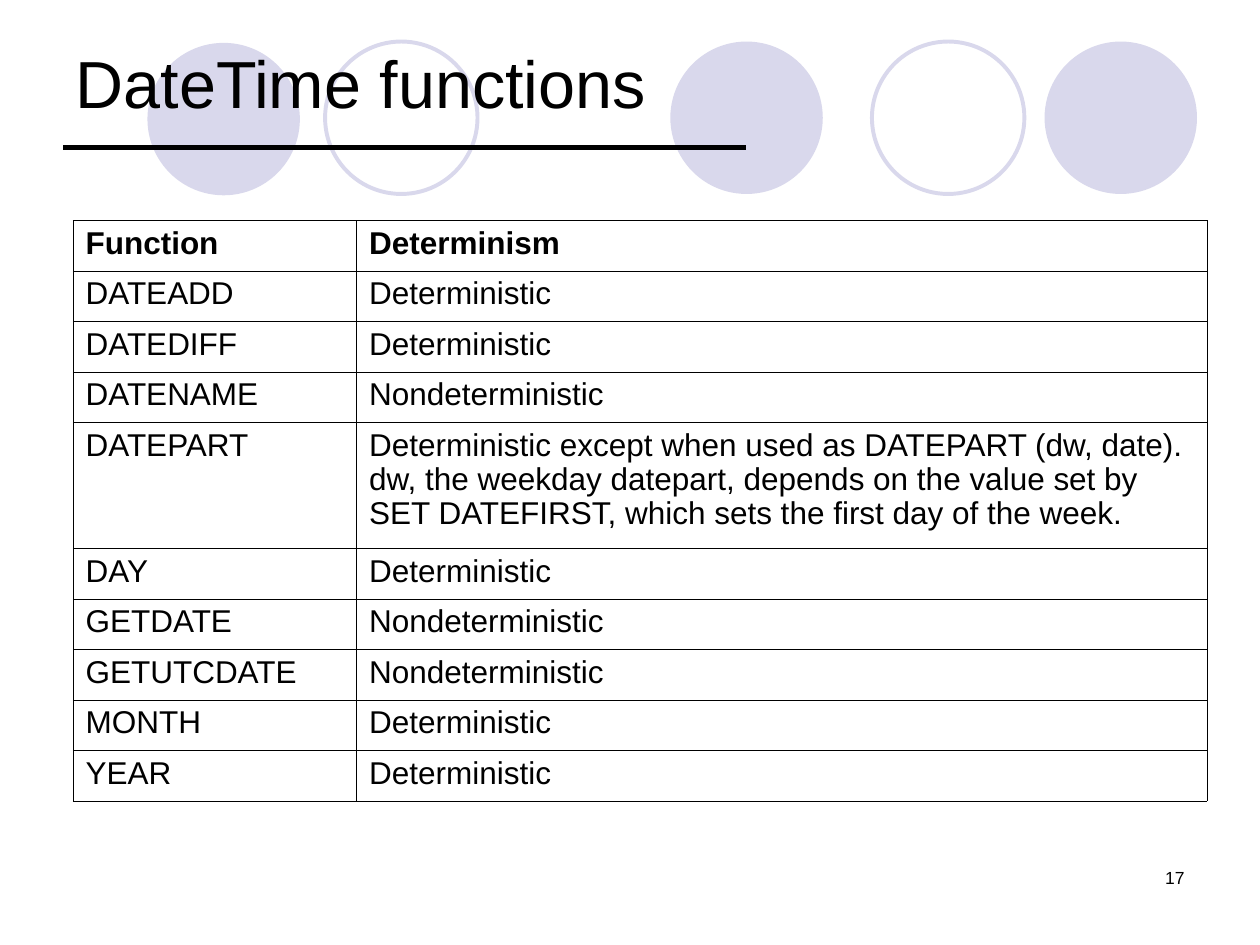
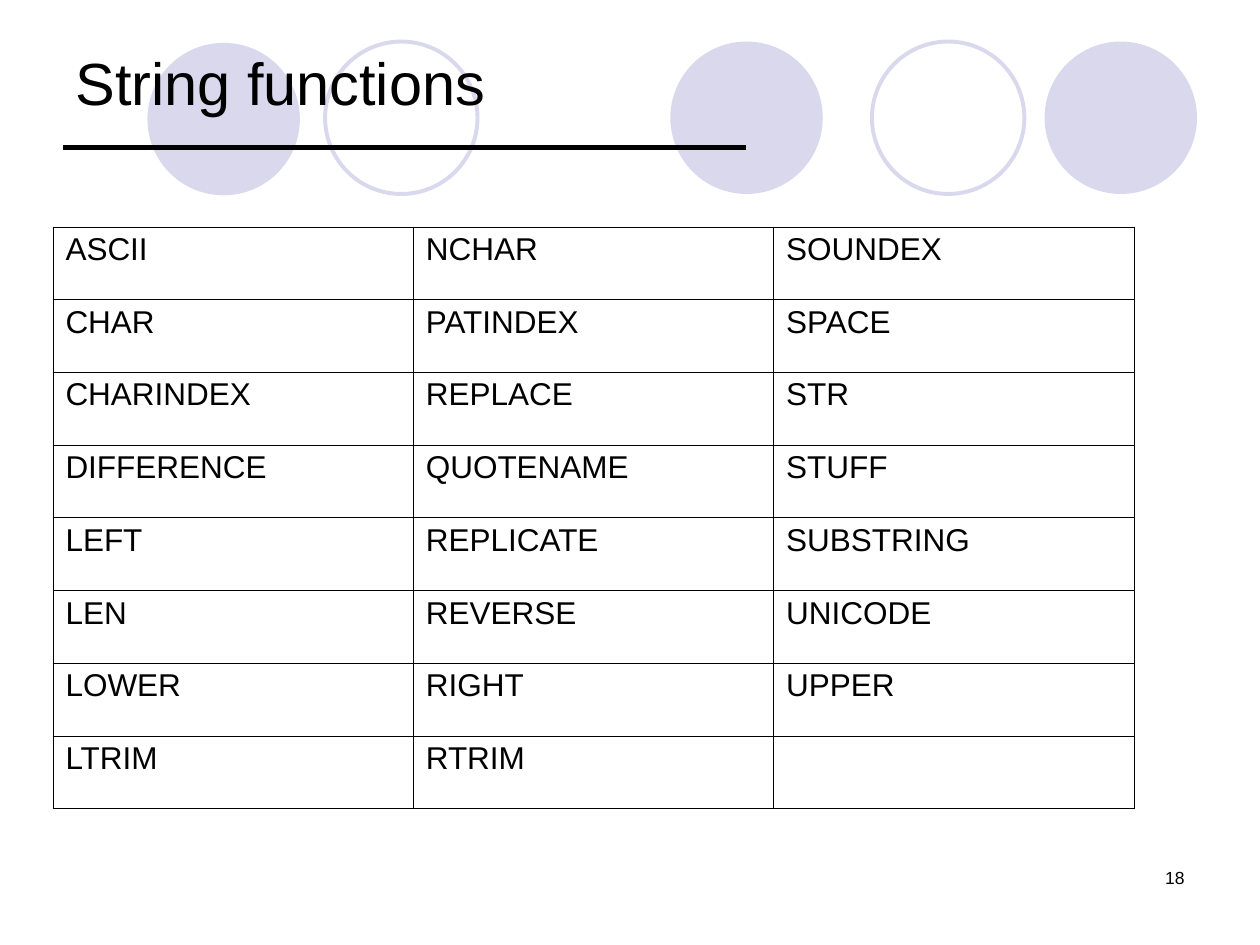
from dataclasses import dataclass

from lxml import etree
from pptx import Presentation
from pptx import util as u
from pptx.dml.color import RGBColor
from pptx.enum import shapes, text
from pptx.oxml import ns

EMU_PER_PX = 9144  # 100 px to the inch
COLOURS = {"ink": "000000", "paper": "FFFFFF", "lilac": "D9D8EC"}
FONT_NAME = "Arial"

CIRCLE_SIZE = 121
RING_WIDTH, RULE_WIDTH, BORDER_WIDTH = u.Pt(2.25), u.Pt(3), u.Pt(0.34)
TITLE_BOX = (50, 30, 900, 70)
NUMBER_BOX = (717, 683, 233, 50)
RULE_LEFT, RULE_RIGHT, RULE_TOP = 50, 592, 117


@dataclass(frozen=True)
class Circle:
    left: int
    top: int
    filled: bool


@dataclass(frozen=True)
class TableSlide:
    title: str
    title_size: int
    number: int
    box: tuple[int, int, int, int]
    column_weights: list[int]
    row_weights: list[int]
    rows: list[tuple[str, ...]]
    bold_header: bool = False


CIRCLES = [
    Circle(532, 33, True),
    Circle(829, 33, True),
    Circle(117, 34, True),
    Circle(692, 33, False),
    Circle(258, 33, False),
]

SLIDES = [
    TableSlide(
        "DateTime functions", 38, 17, (58, 175, 900, 461),
        column_weights=[1, 3],
        row_weights=[2] * 4 + [5] + [2] * 5,
        rows=[
            ("Function", "Determinism"),
            ("DATEADD", "Deterministic"),
            ("DATEDIFF", "Deterministic"),
            ("DATENAME", "Nondeterministic"),
            ("DATEPART", "Deterministic except when used as DATEPART (dw, date). "
                         "dw, the weekday datepart, depends on the value set by "
                         "SET DATEFIRST, which sets the first day of the week."),
            ("DAY", "Deterministic"),
            ("GETDATE", "Nondeterministic"),
            ("GETUTCDATE", "Nondeterministic"),
            ("MONTH", "Deterministic"),
            ("YEAR", "Deterministic"),
        ],
        bold_header=True,
    ),
    TableSlide(
        "String functions", 34, 18, (42, 180, 858, 462),
        column_weights=[1] * 3,
        row_weights=[1] * 8,
        rows=[
            ("ASCII", "NCHAR", "SOUNDEX"),
            ("CHAR", "PATINDEX", "SPACE"),
            ("CHARINDEX", "REPLACE", "STR"),
            ("DIFFERENCE", "QUOTENAME", "STUFF"),
            ("LEFT", "REPLICATE", "SUBSTRING"),
            ("LEN", "REVERSE", "UNICODE"),
            ("LOWER", "RIGHT", "UPPER"),
            ("LTRIM", "RTRIM", ""),
        ],
    ),
]


def px(length: float) -> u.Emu:
    return u.Emu(round(length * EMU_PER_PX))


def box_px(box: tuple[int, int, int, int]) -> list[u.Emu]:
    return [px(length) for length in box]


def colour(name: str) -> RGBColor:
    return RGBColor.from_string(COLOURS[name])


def set_values(target, values: dict) -> None:
    for name, value in values.items():
        setattr(target, name, value)


def write(frame, words: str, size: int, bold: bool = False,
          align=text.PP_ALIGN.LEFT, line_spacing: float = 1.0) -> None:
    frame.text = words
    paragraph = frame.paragraphs[0]
    set_values(paragraph, {"alignment": align, "line_spacing": line_spacing})
    font = paragraph.runs[0].font
    set_values(font, {"name": FONT_NAME, "size": u.Pt(size), "bold": bold})
    font.color.rgb = colour("ink")


# Shared decoration: circles and the rule under the title
def draw_circle(slide, circle: Circle) -> None:
    shape = slide.shapes.add_shape(
        shapes.MSO_SHAPE.OVAL,
        *box_px((circle.left, circle.top, CIRCLE_SIZE, CIRCLE_SIZE)))
    shape.shadow.inherit = False
    if circle.filled:
        shape.fill.solid()
        shape.fill.fore_color.rgb = colour("lilac")
        shape.line.fill.background()
    else:
        shape.fill.background()
        shape.line.color.rgb = colour("lilac")
        shape.line.width = RING_WIDTH


def draw_rule(slide) -> None:
    rule = slide.shapes.add_connector(
        shapes.MSO_CONNECTOR.STRAIGHT,
        px(RULE_LEFT), px(RULE_TOP), px(RULE_RIGHT), px(RULE_TOP))
    rule.line.color.rgb = colour("ink")
    rule.line.width = RULE_WIDTH
    etree.SubElement(rule._element.spPr, ns.qn("a:effectLst"))


# Title and slide number
def draw_title(slide, words: str, size: int) -> None:
    title = slide.shapes.title
    slide.shapes._spTree.append(title._element)  # bring in front of the circles
    set_values(title, dict(zip(("left", "top", "width", "height"), box_px(TITLE_BOX))))
    set_values(title.text_frame, {"auto_size": text.MSO_AUTO_SIZE.NONE,
                                  "vertical_anchor": text.MSO_ANCHOR.MIDDLE})
    write(title.text_frame, words, size)


def draw_number(slide, number: int) -> None:
    frame = slide.shapes.add_textbox(*box_px(NUMBER_BOX)).text_frame
    frame.word_wrap = True
    write(frame, str(number), 10, align=text.PP_ALIGN.RIGHT)


# Table
def add_borders(cell) -> None:
    properties = cell._tc.get_or_add_tcPr()
    for side in ("lnL", "lnR", "lnT", "lnB"):
        line = etree.SubElement(properties, ns.qn(f"a:{side}"), w=str(BORDER_WIDTH))
        fill = etree.SubElement(line, ns.qn("a:solidFill"))
        etree.SubElement(fill, ns.qn("a:srgbClr"), val=COLOURS["ink"])


def draw_table(slide, content: TableSlide) -> None:
    row_weights, column_weights = content.row_weights, content.column_weights
    table = slide.shapes.add_table(
        len(row_weights), len(column_weights), *box_px(content.box)).table
    set_values(table, {"first_row": content.bold_header, "horz_banding": False})
    width, height = content.box[2:]
    for column, weight in zip(table.columns, column_weights):
        column.width = px(width * weight / sum(column_weights))
    for row, weight in zip(table.rows, row_weights):
        row.height = px(height * weight / sum(row_weights))
    for row_index, words_in_row in enumerate(content.rows):
        for column_index, words in enumerate(words_in_row):
            cell = table.cell(row_index, column_index)
            add_borders(cell)
            cell.fill.background()
            if words:
                write(cell.text_frame, words, 18, line_spacing=0.97,
                      bold=content.bold_header and row_index == 0)


def build_slide(presentation, content: TableSlide) -> None:
    slide = presentation.slides.add_slide(presentation.slide_layouts[5])
    slide.background.fill.solid()
    slide.background.fill.fore_color.rgb = colour("paper")
    for circle in CIRCLES:
        draw_circle(slide, circle)
    draw_rule(slide)
    draw_number(slide, content.number)
    draw_title(slide, content.title, content.title_size)
    draw_table(slide, content)


def main() -> None:
    presentation = Presentation()
    set_values(presentation, {"slide_width": px(1000), "slide_height": px(750)})
    for content in SLIDES:
        build_slide(presentation, content)
    presentation.save("out.pptx")


if __name__ == "__main__":
    main()
